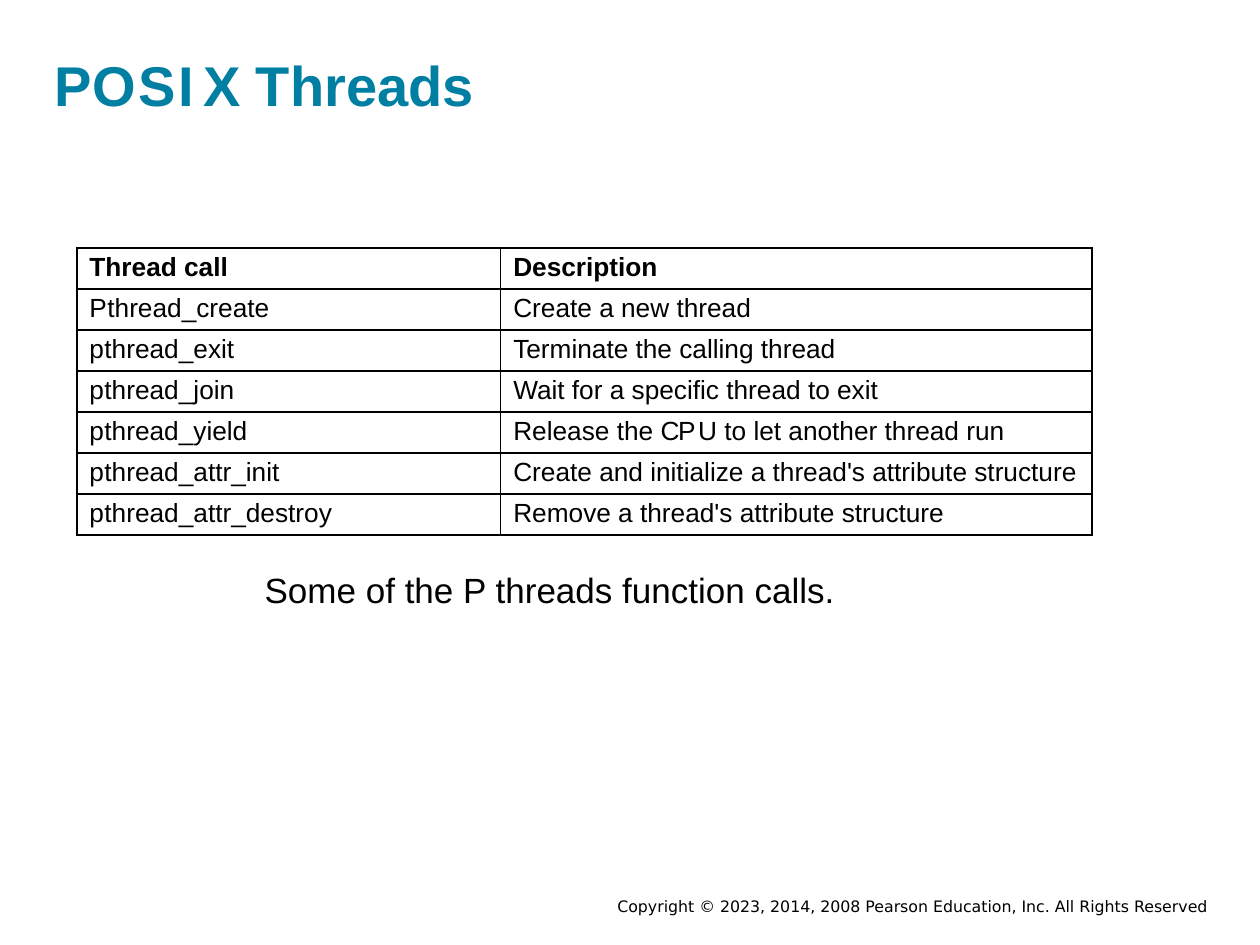
from pptx import Presentation
from pptx.dml.color import RGBColor as RGB
from pptx.enum.text import MSO_ANCHOR as Anchor, PP_ALIGN as Align
from pptx.oxml.ns import qn
from pptx.util import Pt
from lxml.etree import SubElement as Sub, Element

BLACK = "000000"
TEAL = "007FA3"
CALLS = [
    ("create", "Create a new thread"),
    ("exit", "Terminate the calling thread"),
    ("join", "Wait for a specific thread to exit"),
    ("yield", [("Release the ",), ("C P ", -2.5),
               ("U to let another thread run",)]),
    ("attr_init", "Create and initialize a thread's attribute structure"),
    ("attr_destroy", "Remove a thread's attribute structure"),
]


def color(code):
    return RGB.from_string(code)


def write(para, parts, size, code=BLACK, bold=False, face="Arial"):
    """Fill a paragraph from a string or (text, tracking, size) parts."""
    if isinstance(parts, str):
        parts = [(parts,)]
    for text, *rest in parts:
        track, own = (rest + [0, size][len(rest):])
        run = para.add_run()
        run.text = text
        font = run.font
        font.name, font.size, font.bold = face, Pt(own), bold
        font.color.rgb = color(code)
        if track:
            font._element.set("spc", str(round(track * 100)))


def label(slide, box, parts, size, align=Align.LEFT, **style):
    frame = slide.shapes.add_textbox(*map(Pt, box)).text_frame
    frame.word_wrap = True
    frame.vertical_anchor = Anchor.MIDDLE
    frame.margin_left = frame.margin_right = 0
    frame.margin_top = frame.margin_bottom = Pt(1)
    para = frame.paragraphs[0]
    para.alignment = align
    write(para, parts, size, **style)


def border(cell):
    props = cell._tc.get_or_add_tcPr()
    for spot, side in enumerate(("lnL", "lnR", "lnT", "lnB")):
        line = Element(qn("a:" + side), w=str(Pt(1)))
        fill = Sub(line, qn("a:solidFill"))
        Sub(fill, qn("a:srgbClr"), val=BLACK)
        props.insert(spot, line)


def grid(slide, rows, left, top, widths, height):
    shape = slide.shapes.add_table(
        len(rows), len(widths), Pt(left), Pt(top),
        Pt(sum(widths)), Pt(height * len(rows)))
    table = shape.table
    table.horz_banding = table.first_row = False
    for col, width in zip(table.columns, widths):
        col.width = Pt(width)
    for i, (line, row) in enumerate(zip(table.rows, rows)):
        line.height = Pt(height)
        for cell, parts in zip(line.cells, row):
            cell.margin_left = cell.margin_right = Pt(7.2)
            cell.margin_top = cell.margin_bottom = Pt(2.7)
            cell.fill.background()
            border(cell)
            write(cell.text_frame.paragraphs[0], parts, 15, bold=i == 0)


def call(name, first="p"):
    """Thread call with a hairline space after its first letter."""
    return [(first,), (" ", 0, 1), ("thread_" + name,)]


def main():
    deck = Presentation()
    deck.slide_width, deck.slide_height = Pt(720), Pt(540)
    slide = deck.slides.add_slide(deck.slide_layouts[6])

    label(slide, (301, 511.2, 388.8, 13), "Copyright © 2023, 2014, 2008 "
          "Pearson Education, Inc. All Rights Reserved", 9,
          Align.RIGHT, face="DejaVu Sans")
    label(slide, (31, 27.4, 656.6, 41), [("P O S I ", -3.8), ("X Threads",)],
          32, code=TEAL, bold=True)

    rows = [("Thread call", "Description")]
    for i, (name, text) in enumerate(CALLS):
        rows.append((call(name, "p" if i else "P"), text))
    grid(slide, rows, 43.9, 141.8, (242.2, 337.8), 23.4)

    label(slide, (151.2, 323.3, 329.8, 26.6),
          "Some of the P threads function calls.", 20)
    deck.save("out.pptx")


if __name__ == "__main__":
    main()
